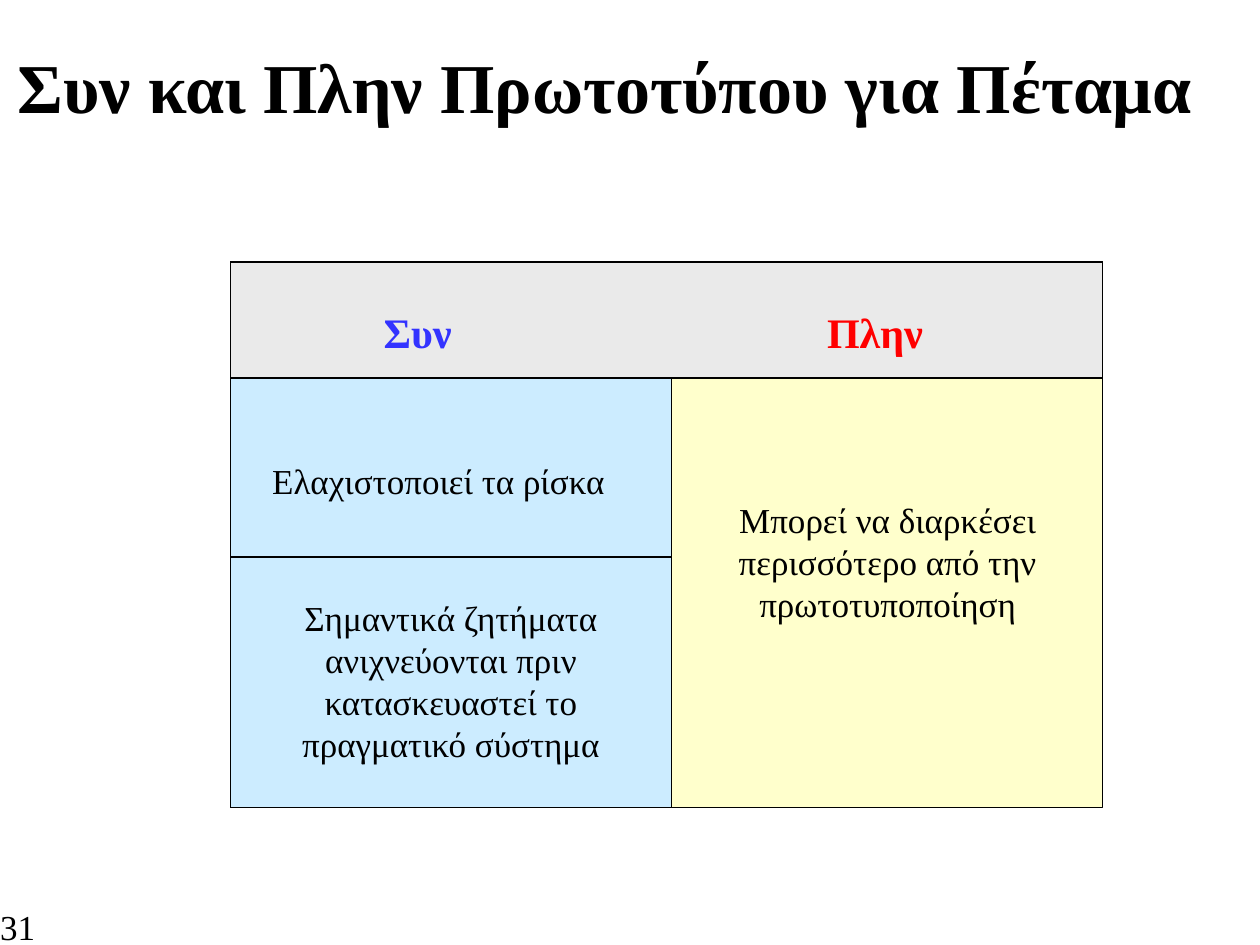
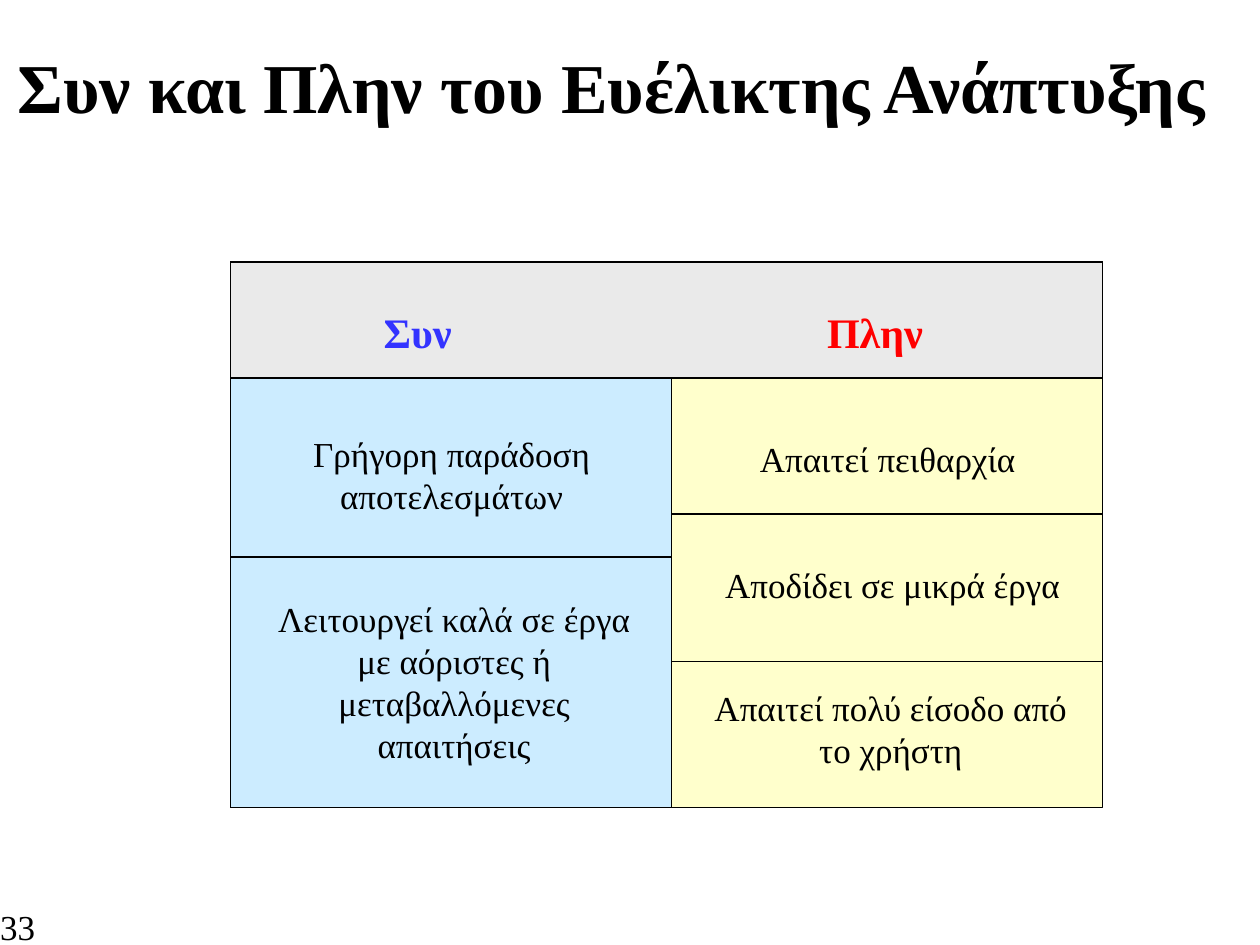
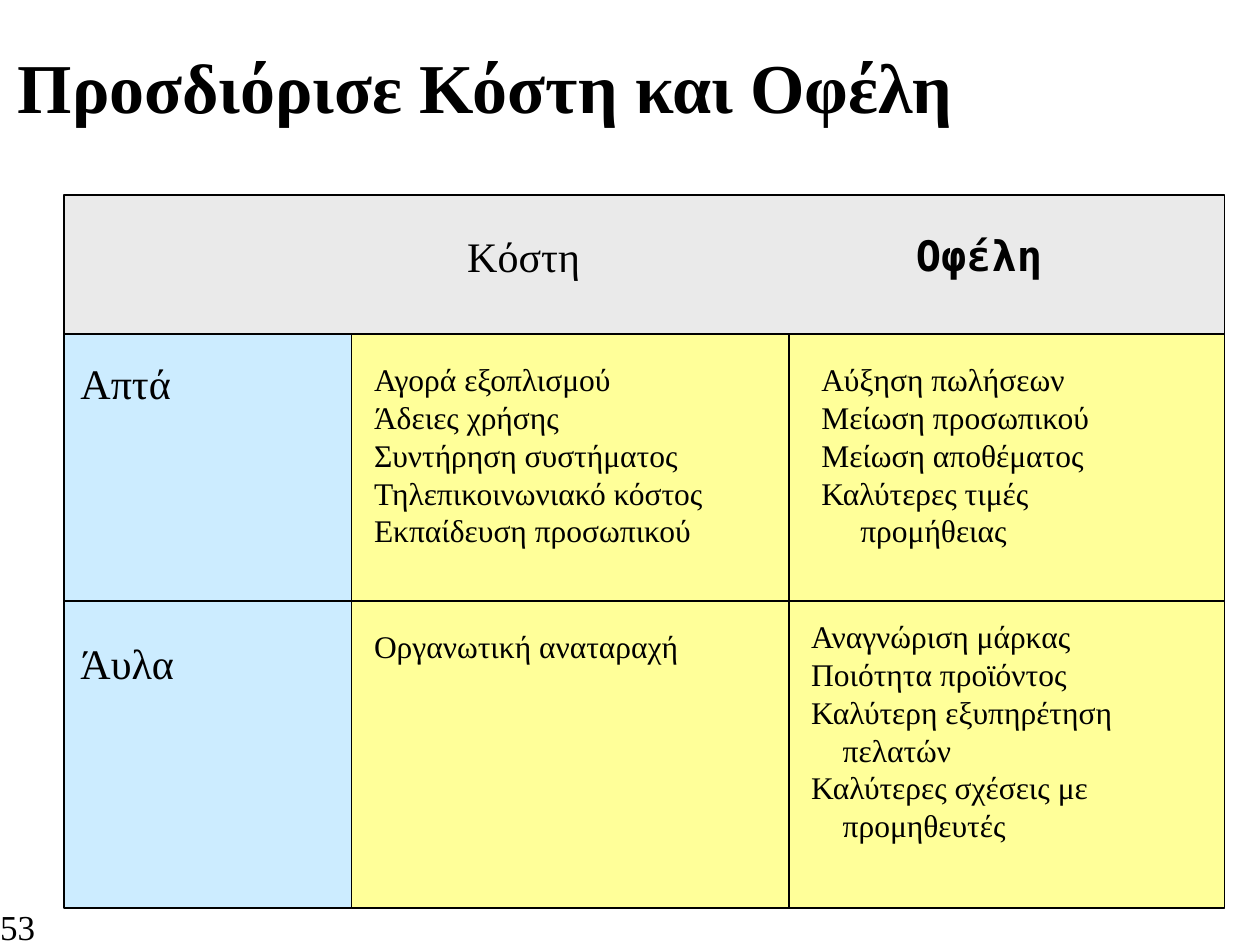
from lxml import etree
from pptx import Presentation
from pptx import util as u
from pptx.dml.color import RGBColor
from pptx.enum import shapes, text
from pptx.oxml import ns

BLACK = RGBColor(0, 0, 0)
GREY = RGBColor(0xEA, 0xEA, 0xEA)
SKY = RGBColor(0xCC, 0xEC, 0xFF)
CREAM = RGBColor(0xFF, 0xFF, 0xCC)
LEMON = RGBColor(0xFF, 0xFF, 0x99)
BLUE = RGBColor(0x33, 0x33, 0xFF)
RED = RGBColor(0xFF, 0, 0)
SERIF = "Times New Roman"
MONO = "DejaVu Sans Mono"
LEFT, CENTER = text.PP_ALIGN.LEFT, text.PP_ALIGN.CENTER
TOP, MIDDLE = text.MSO_ANCHOR.TOP, text.MSO_ANCHOR.MIDDLE


def inches(*sizes):
    """Turn numbers into lengths in inches."""
    return [u.Inches(size) for size in sizes]


def style(frame, size, color=BLACK, bold=False, font=SERIF, align=LEFT, anchor=MIDDLE):
    """Format all paragraphs of a text frame alike."""
    frame.vertical_anchor = anchor
    for par in frame.paragraphs:
        par.alignment = align
        par.font.size = u.Pt(size)
        par.font.name = font
        par.font.bold = bold
        par.font.color.rgb = color


def label(slide, box, words, size, wrap=True, hang=0, **looks):
    """Add a text box, with an optional hanging indent."""
    frame = slide.shapes.add_textbox(*inches(*box)).text_frame
    frame.word_wrap = wrap
    frame.text = words
    style(frame, size, **looks)
    if hang:
        for par in frame.paragraphs:
            props = par._p.get_or_add_pPr()
            props.set("marL", str(u.Inches(hang)))
            props.set("indent", str(-u.Inches(hang)))
    return frame


def panel(slide, box, fill):
    """Add a filled rectangle with a thin black outline."""
    rect = slide.shapes.add_shape(shapes.MSO_SHAPE.RECTANGLE, *inches(*box))
    rect.shadow.inherit = False
    rect.fill.solid()
    rect.fill.fore_color.rgb = fill
    rect.line.color.rgb = BLACK
    rect.line.width = u.Pt(1)


def rule(slide, left, right, y):
    """Draw a thin horizontal line."""
    line = slide.shapes.add_connector(
        shapes.MSO_CONNECTOR.STRAIGHT, *inches(left, y, right, y))
    line.line.color.rgb = BLACK
    line.line.width = u.Pt(1)
    etree.SubElement(line._element.spPr, ns.qn("a:effectLst"))


def start(deck, title, number):
    """Add a slide with its title and page number."""
    slide = deck.slides.add_slide(deck.slide_layouts[5])
    head = slide.shapes.title
    head.left, head.top, head.width, head.height = inches(0.04, 0.05, 9.96, 1.25)
    frame = head.text_frame
    frame.text = title
    frame.auto_size = text.MSO_AUTO_SIZE.NONE
    style(frame, 40, bold=True)
    page = label(slide, (0, 7.21, 1.08, 0.28), number, 20)
    page.margin_left = page.margin_right = page.margin_top = page.margin_bottom = 0
    return slide


def versus(slide, box, points, cuts):
    """Draw a table of pros and cons with points and cuts relative to the box."""
    left, top, width, height = box
    band, split = 0.92, 3.5
    panel(slide, box, CREAM)
    panel(slide, (left, top, width, band), GREY)
    panel(slide, (left, top + band, split, height - band), SKY)
    for words, x, wide, color in (("Συν", 1.08, 0.81, BLUE), ("Πλην", 4.58, 1.07, RED)):
        label(slide, (left + x, top + 0.3, wide, 0.5), words, 24, wrap=False,
              color=color, bold=True, align=CENTER)
    for words, x, y, wide, high in points:
        label(slide, (left + x, top + y, wide, high), words, 20, align=CENTER)
    rule(slide, left, left + split, top + 2.34)
    for cut in cuts:
        rule(slide, left + split, left + width, top + cut)


def matrix(slide, box):
    """Draw the grid of costs and benefits, tangible and intangible."""
    left, top, width, height = box
    band, row, second, third = 1.1, 3.22, 2.28, 5.75
    panel(slide, (left, top, width, band), GREY)
    for x, end, fill in ((0, second, SKY), (third, width, LEMON), (second, third, LEMON)):
        panel(slide, (left + x, top + band, end - x, height - band), fill)
    for y in (band, row):
        rule(slide, left, left + width, top + y)
    for words, x, y, wide, looks in (
            ("Κόστη", 3.1, 0.23, 1.19, {}),
            ("Οφέλη", 6.66, 0.22, 1.34, {"font": MONO, "bold": True}),
            ("Απτά", 0.03, 1.24, 1.01, {}),
            ("Άυλα", 0.03, 3.46, 1.01, {})):
        label(slide, (left + x, top + y, wide, 0.5), words, 24, wrap=False,
              anchor=TOP, **looks)
    for items, x, y, wide, high, hang in (
            (("Αγορά εξοπλισμού", "Άδειες χρήσης", "Συντήρηση συστήματος",
              "Τηλεπικοινωνιακό κόστος", "Εκπαίδευση προσωπικού"),
             2.36, 1.26, 3.39, 1.6, 0),
            (("Αύξηση πωλήσεων", "Μείωση προσωπικού", "Μείωση αποθέματος",
              "Καλύτερες τιμές\vπρομήθειας"),
             5.91, 1.26, 3.23, 1.9, 0.31),
            (("Οργανωτική αναταραχή",), 2.36, 3.38, 3.39, 0.4, 0),
            (("Αναγνώριση μάρκας", "Ποιότητα προϊόντος",
              "Καλύτερη εξυπηρέτηση\vπελατών",
              "Καλύτερες σχέσεις με\vπρομηθευτές"),
             5.83, 3.3, 3.23, 1.9, 0.25)):
        label(slide, (left + x, top + y, wide, high), "\n".join(items), 18,
              hang=hang, anchor=TOP)


def main():
    """Build the three slides and save them."""
    deck = Presentation()
    deck.slide_width, deck.slide_height = inches(10, 7.5)
    table = (1.83, 2.08, 6.92, 4.33)
    versus(start(deck, "Συν και Πλην Πρωτοτύπου για Πέταμα", "31"), table, (
        ("Ελαχιστοποιεί τα ρίσκα", 0.09, 1.35, 3.12, 0.77),
        ("Σημαντικά ζητήματα ανιχνεύονται πριν κατασκευαστεί το πραγματικό σύστημα",
         0.02, 2.6, 3.46, 1.44),
        ("Μπορεί να διαρκέσει περισσότερο από την πρωτοτυποποίηση",
         3.56, 1.83, 3.31, 1.1)), ())
    versus(start(deck, "Συν και Πλην του Ευέλικτης Ανάπτυξης", "33"), table, (
        ("Γρήγορη παράδοση αποτελεσμάτων", 0.1, 1.3, 3.31, 0.77),
        ("Λειτουργεί καλά σε έργα με αόριστες ή μεταβαλλόμενες απαιτήσεις",
         0.18, 2.61, 3.19, 1.44),
        ("Απαιτεί πειθαρχία", 3.92, 1.34, 2.59, 0.44),
        ("Αποδίδει σε μικρά έργα", 3.6, 2.34, 3.31, 0.44),
        ("Απαιτεί πολύ είσοδο από το χρήστη", 3.69, 3.32, 3.1, 0.77)), (2, 3.17))
    matrix(start(deck, "Προσδιόρισε Κόστη και Οφέλη", "53"), (0.51, 1.55, 9.21, 5.66))
    deck.save("out.pptx")


if __name__ == "__main__":
    main()
